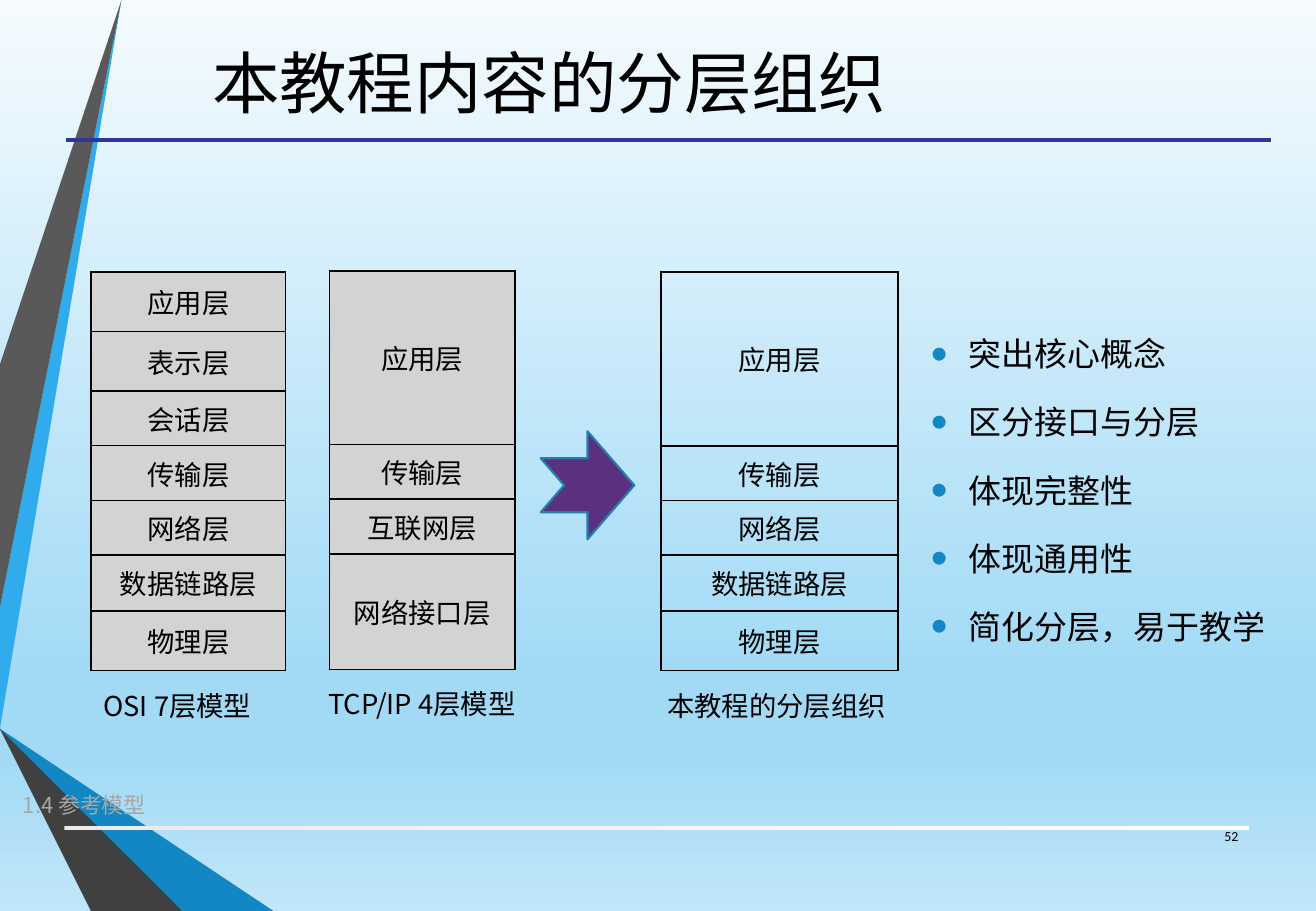
import pptx
import pptx.dml.color
import pptx.enum.shapes
import pptx.enum.text
import pptx.oxml
import pptx.oxml.ns
import pptx.util
from lxml import etree

Inches, Pt = pptx.util.Inches, pptx.util.Pt
ALIGN = pptx.enum.text.PP_ALIGN
ANCHOR = pptx.enum.text.MSO_ANCHOR
AUTO_SIZE = pptx.enum.text.MSO_AUTO_SIZE
SHAPE = pptx.enum.shapes.MSO_SHAPE

LATIN, CJK = "Calibri", "Noto Sans CJK SC"
BLACK, GREY, ACCENT = "000000", "D3D3D3", "1287C3"
CELL_INSETS = (0.08, 0.04)

TITLE = "本教程内容的分层组织"
GOALS = ["突出核心概念", "区分接口与分层", "体现完整性", "体现通用性", "简化分层，易于教学"]
SKY = [(0, "F5FBFE"), (74, "A2DAF6"), (83, "A2DAF6"), (100, "C1E6F9")]
FOOTER_BAND = [(0, "EBEBEB"), (100, "FFFFFF")]

RIBBONS = [
    ("30ACEC", [(0, 5.44), (0, 5.75), (0.24, 5.79), (1.27, 0), (0.97, 0)]),
    ("595959", [(0.9, 0), (0.6, 0), (0, 3.36), (0, 5.06)]),
    ("262626", [(0, 6.19), (0, 6.21), (1.01, 7.5), (1.07, 7.5)]),
    ("0C5A82", [(0, 5.79), (0, 5.8), (1.69, 7.5), (1.76, 7.5)]),
    (ACCENT, [(0, 5.79), (1.76, 7.5), (2.53, 7.5), (0.24, 5.79), (0, 5.75)]),
    ("404040", [(0, 6.19), (1.07, 7.5), (1.63, 7.5), (0, 5.86)]),
]

# Each model: left, top, width, fill, layers with heights, caption and its box
MODELS = [
    (0.75, 2.24, 1.6, GREY,
     [("应用层", 0.49), ("表示层", 0.49), ("会话层", 0.45), ("传输层", 0.45),
      ("网络层", 0.45), ("数据链路层", 0.46), ("物理层", 0.49)],
     "OSI 7层模型", (0.77, 5.63, 1.92, 0.41)),
    (2.71, 2.23, 1.53, GREY,
     [("应用层", 1.43), ("传输层", 0.45), ("互联网层", 0.45), ("网络接口层", 0.95)],
     "TCP/IP 4层模型", (2.62, 5.62, 1.92, 0.41)),
    (5.44, 2.24, 1.95, None,
     [("应用层", 1.43), ("传输层", 0.45), ("网络层", 0.45), ("数据链路层", 0.46),
      ("物理层", 0.49)],
     "本教程的分层组织", (5.41, 5.63, 2.1, 0.41)),
]


def color(value):
    return pptx.dml.color.RGBColor.from_string(value)


def add_child(parent, tag, **attributes):
    return etree.SubElement(parent, pptx.oxml.ns.qn(tag), attributes)


def fill_gradient(fill, stops, angle):
    fill.gradient()
    fill.gradient_angle = angle
    stop_list = fill._fill._gradFill.find(pptx.oxml.ns.qn("a:gsLst"))
    for stop in list(stop_list):
        stop_list.remove(stop)
    for position, value in stops:
        stop = add_child(stop_list, "a:gs", pos=str(position * 1000))
        add_child(stop, "a:srgbClr", val=value)


def write(para, text, size, font=CJK, ink=BLACK, align=None):
    span = para.add_run()
    span.text = text
    span.font.size = Pt(size)
    span.font.name = font
    span.font.color.rgb = color(ink)
    add_child(span._r.get_or_add_rPr(), "a:ea", typeface=CJK)
    if align is not None:
        para.alignment = align


def place(shape, left, top, width, height):
    shape.left, shape.top = Inches(left), Inches(top)
    shape.width, shape.height = Inches(width), Inches(height)


def add_label(page, area, text, size, insets=(0.1, 0.05), anchor=ANCHOR.TOP, **style):
    frame = page.shapes.add_textbox(*map(Inches, area)).text_frame
    frame.word_wrap = True
    frame.vertical_anchor = anchor
    frame.margin_left = frame.margin_right = Inches(insets[0])
    frame.margin_top = frame.margin_bottom = Inches(insets[1])
    write(frame.paragraphs[0], text, size, **style)


def add_bullet(para):
    properties = para._p.get_or_add_pPr()
    properties.set("marL", str(Inches(0.31)))
    properties.set("indent", str(-Inches(0.31)))
    add_child(add_child(properties, "a:buClr"), "a:srgbClr", val=ACCENT)
    add_child(properties, "a:buSzPct", val="145000")
    add_child(properties, "a:buFont", typeface="Arial")
    add_child(properties, "a:buChar", char="•")


def add_borders(cell):
    """Draw a thin black line on all four sides; call before the fill is set."""
    properties = cell._tc.get_or_add_tcPr()
    for side in ("a:lnL", "a:lnR", "a:lnT", "a:lnB"):
        border = add_child(properties, side, w=str(Pt(1)))
        add_child(add_child(border, "a:solidFill"), "a:srgbClr", val=BLACK)


def add_model(page, left, top, width, fill, layers, caption, caption_area):
    height = sum(layer_height for _, layer_height in layers)
    table = page.shapes.add_table(
        len(layers), 1, *map(Inches, (left, top, width, height))).table
    table.first_row = table.horz_banding = False
    for index, (name, layer_height) in enumerate(layers):
        table.rows[index].height = Inches(layer_height)
        cell = table.cell(index, 0)
        add_borders(cell)
        if fill:
            cell.fill.solid()
            cell.fill.fore_color.rgb = color(fill)
        else:
            cell.fill.background()
        cell.vertical_anchor = ANCHOR.MIDDLE
        cell.margin_left = cell.margin_right = Inches(CELL_INSETS[0])
        cell.margin_top = cell.margin_bottom = Inches(CELL_INSETS[1])
        write(cell.text_frame.paragraphs[0], name, 16.2, align=ALIGN.CENTER)
    add_label(page, caption_area, caption, 16.2, insets=CELL_INSETS)


def add_backdrop(page):
    fill_gradient(page.background.fill, SKY, 270)
    for fill, points in RIBBONS:
        builder = page.shapes.build_freeform(*points[0], scale=Inches(1))
        builder.add_line_segments(points[1:], close=True)
        ribbon = builder.convert_to_shape()
        ribbon.shadow.inherit = False
        ribbon.fill.solid()
        ribbon.fill.fore_color.rgb = color(fill)
        ribbon.line.fill.background()
    band = page.shapes.add_shape(
        SHAPE.RECTANGLE, *map(Inches, (0.53, 6.8, 9.75, 0.03)))
    band.shadow.inherit = False
    fill_gradient(band.fill, FOOTER_BAND, 0)
    band.line.fill.background()
    rule = page.shapes.add_connector(
        pptx.enum.shapes.MSO_CONNECTOR.STRAIGHT,
        *map(Inches, (0.54, 1.15, 10.46, 1.15)))
    rule.line.color.rgb = color("333399")
    rule.line.width = Pt(2.25)
    add_child(rule._element.spPr, "a:effectLst")


def fill_placeholders(page):
    title, body = page.shapes.title, page.placeholders[1]
    place(title, 0.43, 0.05, 8.18, 1.24)
    place(body, 7.56, 2.56, 3.12, 2.85)
    for holder in (title, body):
        holder.text_frame.auto_size = AUTO_SIZE.NONE
        holder.text_frame.vertical_anchor = ANCHOR.MIDDLE
        # Bring the text in front of the backdrop
        page.shapes._spTree.append(holder._element)
    write(title.text_frame.paragraphs[0], TITLE, 40, font=LATIN, align=ALIGN.CENTER)
    for index, goal in enumerate(GOALS):
        frame = body.text_frame
        para = frame.add_paragraph() if index else frame.paragraphs[0]
        add_bullet(para)
        para.line_spacing = 1.3
        para.space_before = Pt(4 if index else 0)
        para.space_after = Pt(6)
        write(para, goal, 19.5, font=LATIN, align=ALIGN.LEFT)


def main():
    deck = pptx.Presentation()
    deck.slide_width, deck.slide_height = Inches(10.83), Inches(7.5)
    page = deck.slides.add_slide(deck.slide_layouts[1])
    add_backdrop(page)
    fill_placeholders(page)
    add_label(page, (9.78, 6.68, 0.51, 0.4), "52", 8.2, anchor=ANCHOR.MIDDLE,
              font=LATIN, align=ALIGN.RIGHT)
    for model in MODELS:
        add_model(page, *model)
    arrow = page.shapes.add_shape(
        SHAPE.NOTCHED_RIGHT_ARROW, *map(Inches, (4.45, 3.55, 0.77, 0.89)))
    arrow.shadow.inherit = False
    arrow.fill.solid()
    arrow.fill.fore_color.rgb = color("5B307E")
    arrow.line.color.rgb = color("247FAF")
    arrow.line.width = Pt(1.25)
    add_label(page, (0.09, 6.47, 2.21, 0.32), "1.4 参考模型", 13, ink="A6A6A6")
    deck.save("out.pptx")


if __name__ == "__main__":
    main()
